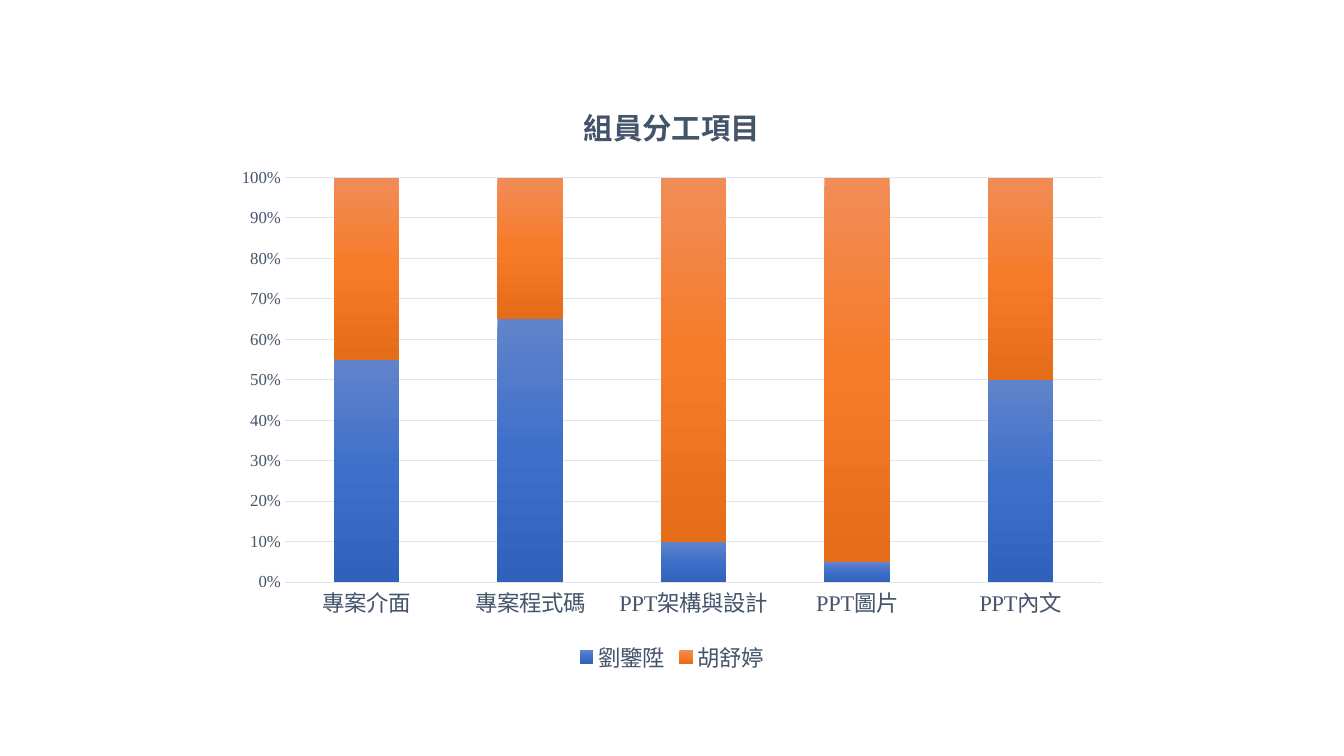
from dataclasses import dataclass

from pptx import Presentation
from pptx.chart.data import CategoryChartData as ChartData
from pptx.dml.color import RGBColor as RGB
from pptx.enum.chart import XL_CHART_TYPE as Kind
from pptx.enum.chart import XL_LEGEND_POSITION as Spot
from pptx.enum.chart import XL_TICK_MARK as Tick
from pptx.oxml import parse_xml
from pptx.oxml.ns import nsdecls
from pptx.util import Inches, Pt


@dataclass(frozen=True)
class Theme:
    face: str = "Times New Roman"
    ink: str = "44546A"
    rule: str = "E0E5EB"
    blue: tuple = ("6183CB", "3E70CA", "3062BB")
    orange: tuple = ("F18C57", "F67B28", "E56C19")
    title: int = 21
    label: int = 16
    scale: int = 12
    base: int = 10


THEME = Theme()
TITLE = "組員分工項目"
TASKS = ["專案介面", "專案程式碼", "PPT架構與設計", "PPT圖片", "PPT內文"]
SHARES = [
    ("劉鑒陞", [55, 65, 10, 5, 50], THEME.blue),
    ("胡舒婷", [45, 35, 90, 95, 50], THEME.orange),
]


def set_font(font, size, bold=False):
    font.name = THEME.face
    font.size = Pt(size)
    font.bold = bold
    font.color.rgb = RGB.from_string(THEME.ink)


def set_line(line):
    line.color.rgb = RGB.from_string(THEME.rule)
    line.width = Pt(0.75)


def fill_bars(series, shades):
    """Shade the bars from top to bottom with evenly spaced stops."""
    step = 100000 // (len(shades) - 1)
    stops = "".join(
        f'<a:gs pos="{i * step}"><a:srgbClr val="{shade}"/></a:gs>'
        for i, shade in enumerate(shades)
    )
    series.format.line.fill.background()
    props = series._element.get_or_add_spPr()
    props.insert(0, parse_xml(
        f'<a:gradFill {nsdecls("a")} rotWithShape="1"><a:gsLst>{stops}</a:gsLst>'
        '<a:lin ang="5400000" scaled="0"/></a:gradFill>'
    ))


def set_title(chart):
    chart.has_title = True
    frame = chart.chart_title.text_frame
    frame.text = TITLE
    chart.chart_title.include_in_layout = False
    set_font(frame.paragraphs[0].runs[0].font, THEME.title, bold=True)


def set_axis(axis, size):
    axis.major_tick_mark = axis.minor_tick_mark = Tick.NONE
    set_font(axis.tick_labels.font, size)


def add_bars(slide):
    data = ChartData()
    data.categories = TASKS
    for name, shares, _ in SHARES:
        data.add_series(name, shares)
    chart = slide.shapes.add_chart(
        Kind.COLUMN_STACKED_100,
        Inches(2.22), Inches(0.79), Inches(8.89), Inches(5.93), data,
    ).chart
    set_font(chart.font, THEME.base)
    set_title(chart)

    # Bars
    plot = chart.plots[0]
    plot.gap_width = 150
    plot.overlap = 100
    plot.vary_by_categories = False
    for series, (_, _, shades) in zip(plot.series, SHARES):
        fill_bars(series, shades)

    # Axes
    tasks, scale = chart.category_axis, chart.value_axis
    set_axis(tasks, THEME.label)
    set_line(tasks.format.line)
    set_axis(scale, THEME.scale)
    scale.format.line.fill.background()
    scale.has_major_gridlines = True
    set_line(scale.major_gridlines.format.line)
    scale.major_unit = 0.1
    scale.tick_labels.number_format = "0%"
    scale.tick_labels.number_format_is_linked = False

    # Legend
    chart.has_legend = True
    chart.legend.position = Spot.BOTTOM
    chart.legend.include_in_layout = False
    set_font(chart.legend.font, THEME.label)


def main():
    deck = Presentation()
    deck.slide_width, deck.slide_height = Inches(13.33), Inches(7.5)
    slide = deck.slides.add_slide(deck.slide_layouts[6])
    add_bars(slide)
    deck.save("out.pptx")


if __name__ == "__main__":
    main()
